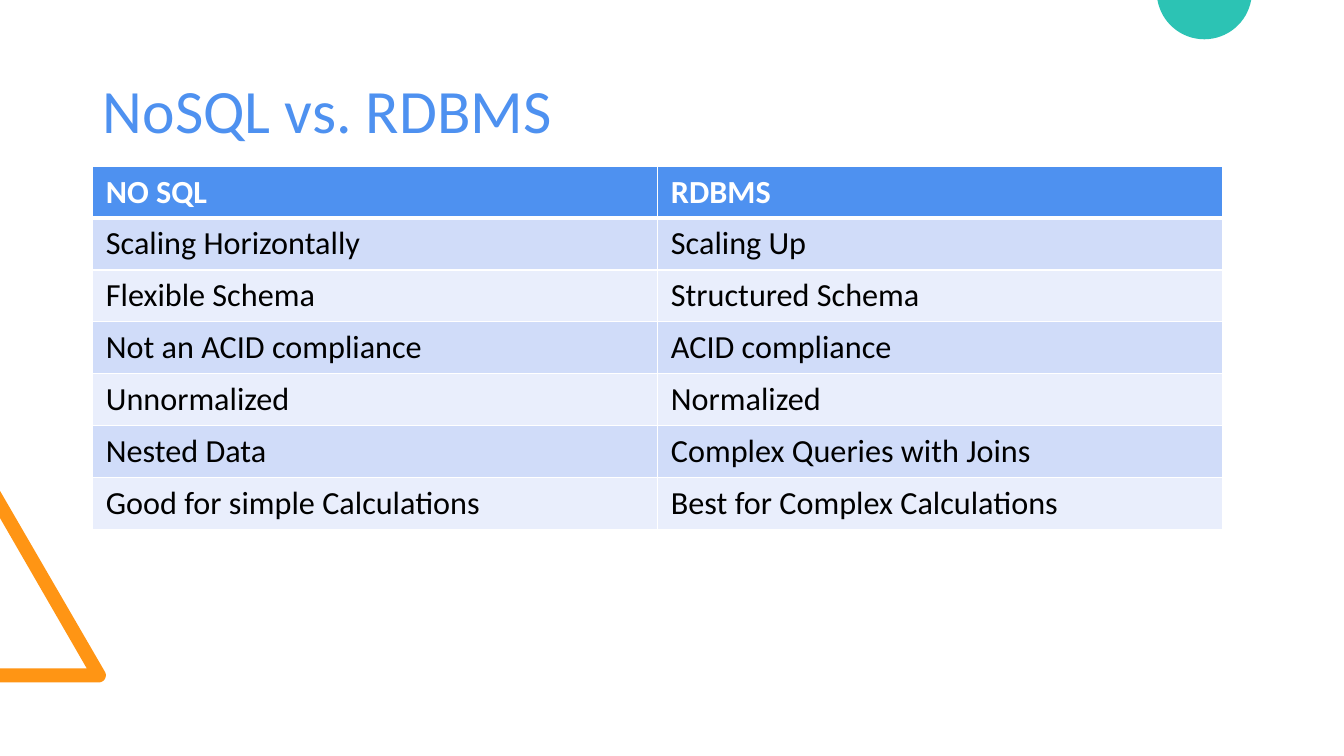
from dataclasses import dataclass
from math import cos, radians, sin

from lxml import etree
from pptx import Presentation
from pptx.dml.color import RGBColor
from pptx.enum.text import MSO_ANCHOR, MSO_AUTO_SIZE, PP_ALIGN
from pptx.oxml.ns import qn
from pptx.util import Inches, Pt

LEFT = PP_ALIGN.LEFT
MIDDLE = MSO_ANCHOR.MIDDLE
TOP = MSO_ANCHOR.TOP
NO_AUTOFIT = MSO_AUTO_SIZE.NONE
TITLE_ONLY = 5


@dataclass(frozen=True)
class Theme:
    font: str = "Calibri"
    title_size: float = 44
    table_size: float = 23
    blue: str = "4E91F0"
    teal: str = "2CC3B4"
    orange: str = "FF9514"
    white: str = "FFFFFF"
    black: str = "000000"
    bands: tuple = ("D0DCF9", "E9EEFC")


THEME = Theme()
ROWS = [
    ("NO SQL", "RDBMS"),
    ("Scaling Horizontally", "Scaling Up"),
    ("Flexible Schema", "Structured Schema"),
    ("Not an ACID compliance", "ACID compliance"),
    ("Unnormalized", "Normalized"),
    ("Nested Data", "Complex Queries with Joins"),
    ("Good for simple Calculations", "Best for Complex Calculations"),
]


def rgb(color):
    return RGBColor.from_string(color)


def write_text(tf, text, *, size, color, bold=False, spacing=1.0):
    p = tf.paragraphs[0]
    p.alignment = LEFT
    p.line_spacing = spacing
    r = p.add_run()
    r.text = text
    r.font.name = THEME.font
    r.font.size = Pt(size)
    r.font.bold = bold
    r.font.color.rgb = rgb(color)


def arc(cx, cy, radius, start, end, steps=32):
    """Points on an arc, with angles in degrees clockwise from the right."""
    angles = [radians(start + (end - start) * i / steps) for i in range(steps + 1)]
    return [(cx + radius * cos(a), cy + radius * sin(a)) for a in angles]


def add_outline(slide, points, color):
    first, *rest = [(Inches(x), Inches(y)) for x, y in points]
    builder = slide.shapes.build_freeform(*first)
    builder.add_line_segments(rest, close=True)
    sp = builder.convert_to_shape()
    sp.shadow.inherit = False
    sp.fill.solid()
    sp.fill.fore_color.rgb = rgb(color)
    sp.line.fill.background()


def add_corner_triangle(slide, left, top, width, height):
    """Band of a triangle cut by the slide's left edge, with a round tip."""
    bottom, radius = top + height, 0.07
    inner_y = bottom - 2 * radius
    tip = arc(left + width - radius, bottom - radius, radius, -30, 90)
    points = [(left, bottom), (left, inner_y), (left + 0.86, inner_y),
              (left, top + 0.27), (left, top), *tip]
    add_outline(slide, points, THEME.orange)


def add_top_circle(slide, left, top, width, height):
    """Lower part of a circle cut by the slide's top edge."""
    radius = (width ** 2 / 4 + height ** 2) / (2 * height)
    cy = top + height - radius
    points = arc(left + width / 2, cy, radius, 10, 170)
    add_outline(slide, [(left, top), (left + width, top), *points], THEME.teal)


def add_title(slide, text, left, top, width, height):
    title = slide.shapes.title
    title.left, title.top = Inches(left), Inches(top)
    title.width, title.height = Inches(width), Inches(height)
    tf = title.text_frame
    tf.word_wrap = True
    tf.auto_size = NO_AUTOFIT
    tf.vertical_anchor = MIDDLE
    write_text(tf, text, size=THEME.title_size, color=THEME.blue, spacing=0.9)


def set_borders(cell, **widths):
    tc_pr = cell._tc.get_or_add_tcPr()
    for side in "LRTB":
        width = widths.get(side, 1)
        ln = etree.SubElement(tc_pr, qn(f"a:ln{side}"), w=str(Pt(width)))
        fill = etree.SubElement(ln, qn("a:solidFill"))
        etree.SubElement(fill, qn("a:srgbClr"), val=THEME.white)


def format_cell(cell, text, row):
    header = row == 0
    cell.margin_left = cell.margin_right = Inches(0.13)
    cell.margin_top = cell.margin_bottom = Inches(0.06)
    cell.vertical_anchor = TOP
    set_borders(cell, T=3 if row == 1 else 1, B=3 if header else 1)
    cell.fill.solid()
    cell.fill.fore_color.rgb = rgb(THEME.blue if header else THEME.bands[(row - 1) % 2])
    write_text(cell.text_frame, text, size=THEME.table_size, bold=header,
               color=THEME.white if header else THEME.black)


def add_comparison(slide, rows, left, top, width, height):
    frame = slide.shapes.add_table(len(rows), len(rows[0]), Inches(left),
                                   Inches(top), Inches(width), Inches(height))
    for i, row in enumerate(rows):
        for j, text in enumerate(row):
            format_cell(frame.table.cell(i, j), text, i)


def main():
    prs = Presentation()
    prs.slide_width, prs.slide_height = Inches(13.33), Inches(7.5)
    slide = prs.slides.add_slide(prs.slide_layouts[TITLE_ONLY])
    add_corner_triangle(slide, 0, 4.87, 1.05, 1.9)
    add_top_circle(slide, 11.48, 0, 0.93, 0.39)
    add_title(slide, "NoSQL vs. RDBMS", 0.92, 0.4, 11.5, 1.45)
    add_comparison(slide, ROWS, 0.92, 1.65, 11.21, 3.6)
    prs.save("out.pptx")


if __name__ == "__main__":
    main()
